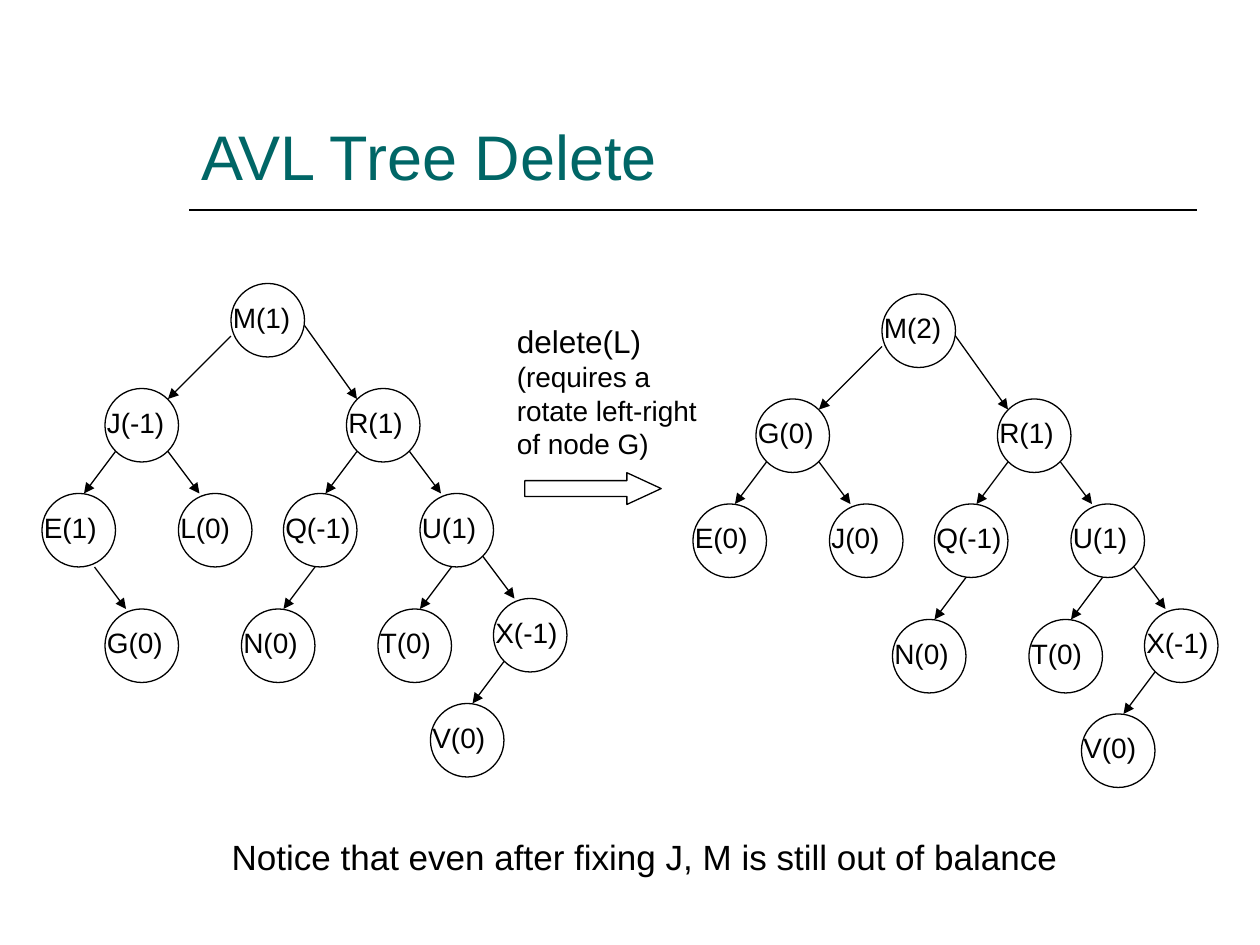
import pptx
import pptx.dml.color
import pptx.enum.shapes
import pptx.enum.text
import pptx.oxml.ns
import pptx.util
from lxml import etree

Cm = pptx.util.Cm
Pt = pptx.util.Pt
SHAPE = pptx.enum.shapes.MSO_SHAPE
TEAL = pptx.dml.color.RGBColor(0x00, 0x66, 0x66)
BLACK = pptx.dml.color.RGBColor(0x00, 0x00, 0x00)

GRID = 2.54 / 12  # cm per grid step; tree coordinates are in steps
DIAMETER = 7
LABEL_HEIGHT = 0.94

# Slot: x, y, label width in cm, side on which it hangs below its parent
SLOTS = {
    "root": (22, 27, 1.7, None),
    "l": (10, 37, 1.7, None),
    "r": (33, 37, 1.65, None),
    "ll": (4, 47, 1.62, "left"),
    "lr": (17, 47, 1.55, "right"),
    "rl": (27, 47, 1.86, "left"),
    "rr": (40, 47, 1.65, "right"),
    "llr": (10, 58, 1.68, "right"),
    "rll": (23, 58, 1.65, "left"),
    "rrl": (36, 58, 1.58, "left"),
    "rrr": (47, 57, 1.8, "right"),
    "rrrl": (41, 67, 1.62, "left"),
}
ROOT_EDGES = [(22, 32, 16, 38), (29, 31, 34, 38)]

SHARED = {"r": "R(1)", "rl": "Q(-1)", "rr": "U(1)", "rll": "N(0)",
          "rrl": "T(0)", "rrr": "X(-1)", "rrrl": "V(0)"}
BEFORE = {"root": "M(1)", "l": "J(-1)", "ll": "E(1)", "lr": "L(0)",
          "llr": "G(0)", **SHARED}
AFTER = {"root": "M(2)", "l": "G(0)", "ll": "E(0)", "lr": "J(0)", **SHARED}

prs = pptx.Presentation()
prs.slide_width, prs.slide_height = Cm(25.4), Cm(19.05)
slide = prs.slides.add_slide(prs.slide_layouts[5])
shapes = slide.shapes


def add_text(left, top, width, height, text, *sizes):
    """Add unwrapped text; the last size holds for all remaining paragraphs."""
    frame = shapes.add_textbox(Cm(left), Cm(top), Cm(width), Cm(height)).text_frame
    frame.word_wrap = False
    frame.auto_size = pptx.enum.text.MSO_AUTO_SIZE.SHAPE_TO_FIT_TEXT
    frame.text = text
    for i, paragraph in enumerate(frame.paragraphs):
        font = paragraph.runs[0].font
        font.name = "Arial"
        font.size = Pt(sizes[min(i, len(sizes) - 1)])
        font.color.rgb = BLACK


def add_line(x1, y1, x2, y2, weight, arrow=False):
    line = shapes.add_connector(pptx.enum.shapes.MSO_CONNECTOR.STRAIGHT,
                                Cm(x1), Cm(y1), Cm(x2), Cm(y2))
    line.line.color.rgb = BLACK
    line.line.width = Pt(weight)
    if arrow:
        etree.SubElement(line.line._get_or_add_ln(),
                         pptx.oxml.ns.qn("a:tailEnd"), type="triangle")
    etree.SubElement(line._element.spPr, pptx.oxml.ns.qn("a:effectLst"))


# Heading
add_line(3.81, 4.24, 24.13, 4.24, 1)
title = shapes.title
title.left, title.top, title.width, title.height = Cm(3.81), Cm(0.84), Cm(20.32), Cm(3.18)
title.text_frame.text = "AVL Tree Delete"
title.text_frame.vertical_anchor = pptx.enum.text.MSO_ANCHOR.BOTTOM
heading = title.text_frame.paragraphs[0]
heading.alignment = pptx.enum.text.PP_ALIGN.LEFT
heading_font = heading.runs[0].font
heading_font.name, heading_font.size = "Arial", Pt(36)
heading_font.color.rgb = TEAL

# Trees before and after the deletion
outlined = []
for labels, shift_x, shift_y in [(BEFORE, 0, 0), (AFTER, 62, 1)]:
    edges = list(ROOT_EDGES)
    for slot, label in labels.items():
        x, y, label_width, side = SLOTS[slot]
        left, top = (x + shift_x) * GRID, (y + shift_y) * GRID
        outlined.append(shapes.add_shape(SHAPE.OVAL, Cm(left), Cm(top),
                                         Cm(DIAMETER * GRID), Cm(DIAMETER * GRID)))
        add_text(left - GRID, top + GRID, label_width, LABEL_HEIGHT, label, 16)
        if side == "left":
            edges.append((x + 7, y - 4, x + 4, y))
        elif side == "right":
            edges.append((x - 1, y - 4, x + 2, y))
    for x1, y1, x2, y2 in edges:
        add_line((x1 + shift_x) * GRID, (y1 + shift_y) * GRID,
                 (x2 + shift_x) * GRID, (y2 + shift_y) * GRID, 0.75, arrow=True)

# Deletion step between the trees
step_arrow = shapes.add_shape(SHAPE.RIGHT_ARROW, Cm(10.58), Cm(9.53), Cm(2.75), Cm(0.64))
step_arrow.adjustments[1] = 1.08
outlined.append(step_arrow)
add_text(10.17, 6.36, 4.16, 3.05,
         "delete(L)\n(requires a\nrotate left-right\nof node G)", 18, 16)

for outline in outlined:
    outline.shadow.inherit = False
    outline.fill.background()
    outline.line.color.rgb = BLACK
    outline.line.width = Pt(0.75)

add_text(4.42, 16.72, 17.17, 1.11,
         "Notice that even after fixing J, M is still out of balance", 20)

prs.save("out.pptx")
